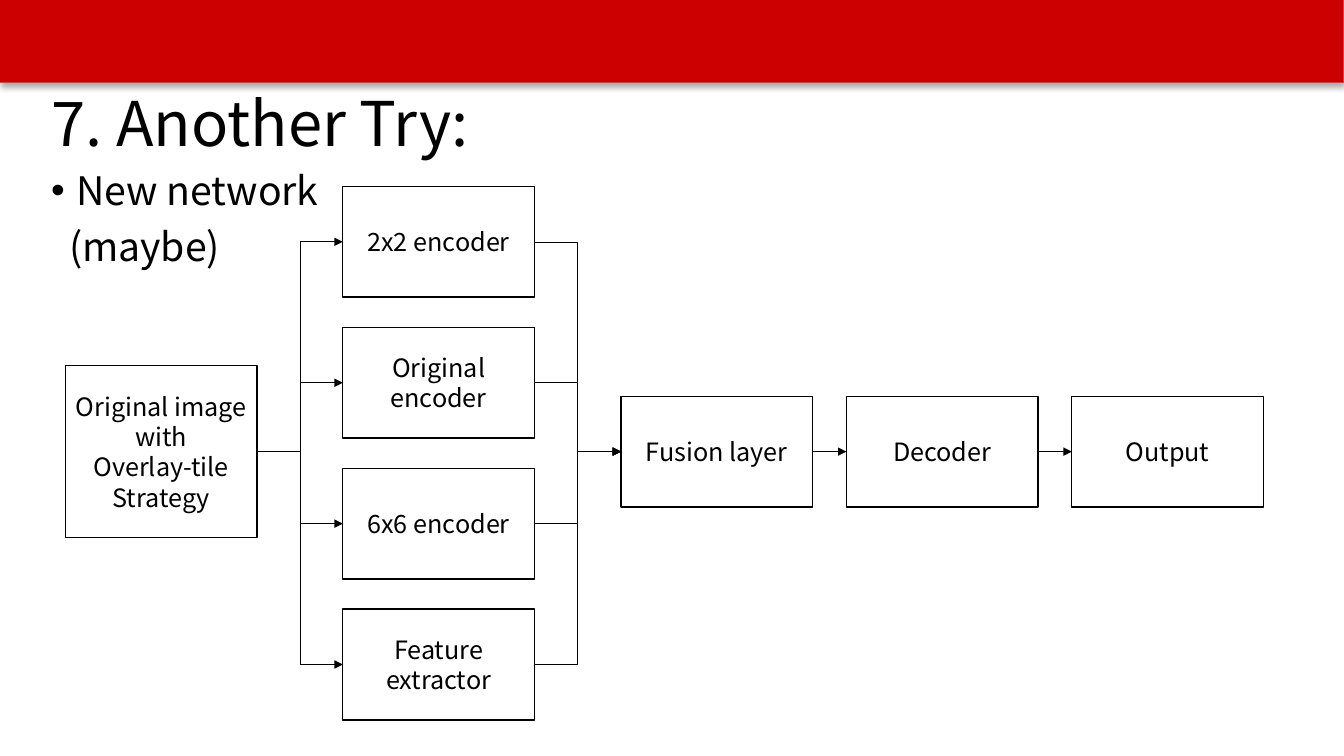
from lxml import etree
from pptx import Presentation
from pptx import util as u
from pptx.dml.color import RGBColor
from pptx.enum import shapes, text
from pptx.oxml import ns

FONT = "Noto Sans CJK SC"
BLACK, WHITE, RED, EDGE = "000000", "FFFFFF", "CC0000", "BE4B48"
TITLE = "7. Another Try:"
BODY = ["New network", "(maybe)"]
SOURCE = ["Original image", "with", "Overlay-tile Strategy"]
ENCODERS = ["2x2 encoder", "Original encoder", "6x6 encoder", "Feature extractor"]
STAGES = ["Fusion layer", "Decoder", "Output"]

WIDTH, HEIGHT = 33.87, 19.05
BOX_WIDTH, BOX_HEIGHT = 4.83, 2.79
SOURCE_LEFT, SOURCE_HEIGHT = 1.65, 4.34
ENCODER_LEFT, ENCODER_TOP, ENCODER_STEP = 8.64, 4.7, 3.55
STAGE_LEFT, STAGE_STEP = 15.65, 5.68
MIDDLE = 11.38

deck = Presentation()
deck.slide_width, deck.slide_height = u.Cm(WIDTH), u.Cm(HEIGHT)
page = deck.slides.add_slide(deck.slide_layouts[6])


def color(value):
    return RGBColor.from_string(value)


def add(parent, tag, **attributes):
    return etree.SubElement(parent, ns.qn(tag), attributes)


def write(frame, lines, size, align=text.PP_ALIGN.LEFT):
    frame.word_wrap = True
    frame.text = "\n".join(lines)
    for para in frame.paragraphs:
        para.alignment = align
        for span in para.runs:
            span.font.size = u.Pt(size)
            span.font.name = FONT
            span.font.color.rgb = color(BLACK)


def add_text(left, top, width, height, lines, size):
    frame = page.shapes.add_textbox(*map(u.Cm, (left, top, width, height))).text_frame
    write(frame, lines, size)
    for para in frame.paragraphs:
        para.line_spacing = 0.9
    return frame


def add_rectangle(left, top, width, height, fill, line, weight):
    box = page.shapes.add_shape(
        shapes.MSO_SHAPE.RECTANGLE, *map(u.Cm, (left, top, width, height)))
    box.fill.solid()
    box.fill.fore_color.rgb = color(fill)
    box.line.color.rgb = color(line)
    box.line.width = u.Pt(weight)
    box.shadow.inherit = False
    return box


def add_box(left, middle, lines, height=BOX_HEIGHT):
    box = add_rectangle(left, middle - height / 2, BOX_WIDTH, height, WHITE, BLACK, 1)
    write(box.text_frame, lines, 18, text.PP_ALIGN.CENTER)
    box.text_frame.vertical_anchor = text.MSO_ANCHOR.MIDDLE
    return box


def add_arrow(start, end, kind=shapes.MSO_CONNECTOR.ELBOW):
    arrow = page.shapes.add_connector(kind, 0, 0, 0, 0)
    arrow.begin_connect(start, 3)
    arrow.end_connect(end, 1)
    arrow.line.color.rgb = color(BLACK)
    arrow.line.width = u.Pt(0.5)
    add(arrow.line._get_or_add_ln(), "a:tailEnd", type="triangle")
    add(arrow._element.spPr, "a:effectLst")


title = add_text(1.04, 2.21, 31.8, 1.96, [TITLE], 44)
title.vertical_anchor = text.MSO_ANCHOR.MIDDLE

body = add_text(1.04, 4.19, 32.8, 13.79, BODY, 28)
for para in body.paragraphs:
    para.space_before = u.Pt(10)
bullet, remark = [para._p.get_or_add_pPr() for para in body.paragraphs]
bullet.set("marL", str(u.Cm(0.64)))
bullet.set("indent", str(-u.Cm(0.64)))
add(bullet, "a:buFont", typeface="Arial")
add(bullet, "a:buChar", char="•")
remark.set("marL", str(u.Cm(0.45)))

banner = add_rectangle(0, 0, WIDTH, 2.08, RED, EDGE, 0.75)
effects = banner._element.spPr.find(ns.qn("a:effectLst"))
shadow = add(effects, "a:outerShdw", blurRad=str(u.Pt(5)), dist=str(u.Pt(1.8)),
             dir="5400000", rotWithShape="0")
add(add(shadow, "a:srgbClr", val=BLACK), "a:alpha", val="35000")

source = add_box(SOURCE_LEFT, MIDDLE, SOURCE, SOURCE_HEIGHT)
encoders = [
    add_box(ENCODER_LEFT, ENCODER_TOP + BOX_HEIGHT / 2 + row * ENCODER_STEP, [label])
    for row, label in enumerate(ENCODERS)]
stages = [
    add_box(STAGE_LEFT + column * STAGE_STEP, MIDDLE, [label])
    for column, label in enumerate(STAGES)]

for encoder in encoders:
    add_arrow(source, encoder)
    add_arrow(encoder, stages[0])
for start, end in zip(stages, stages[1:]):
    add_arrow(start, end, shapes.MSO_CONNECTOR.STRAIGHT)

deck.save("out.pptx")
